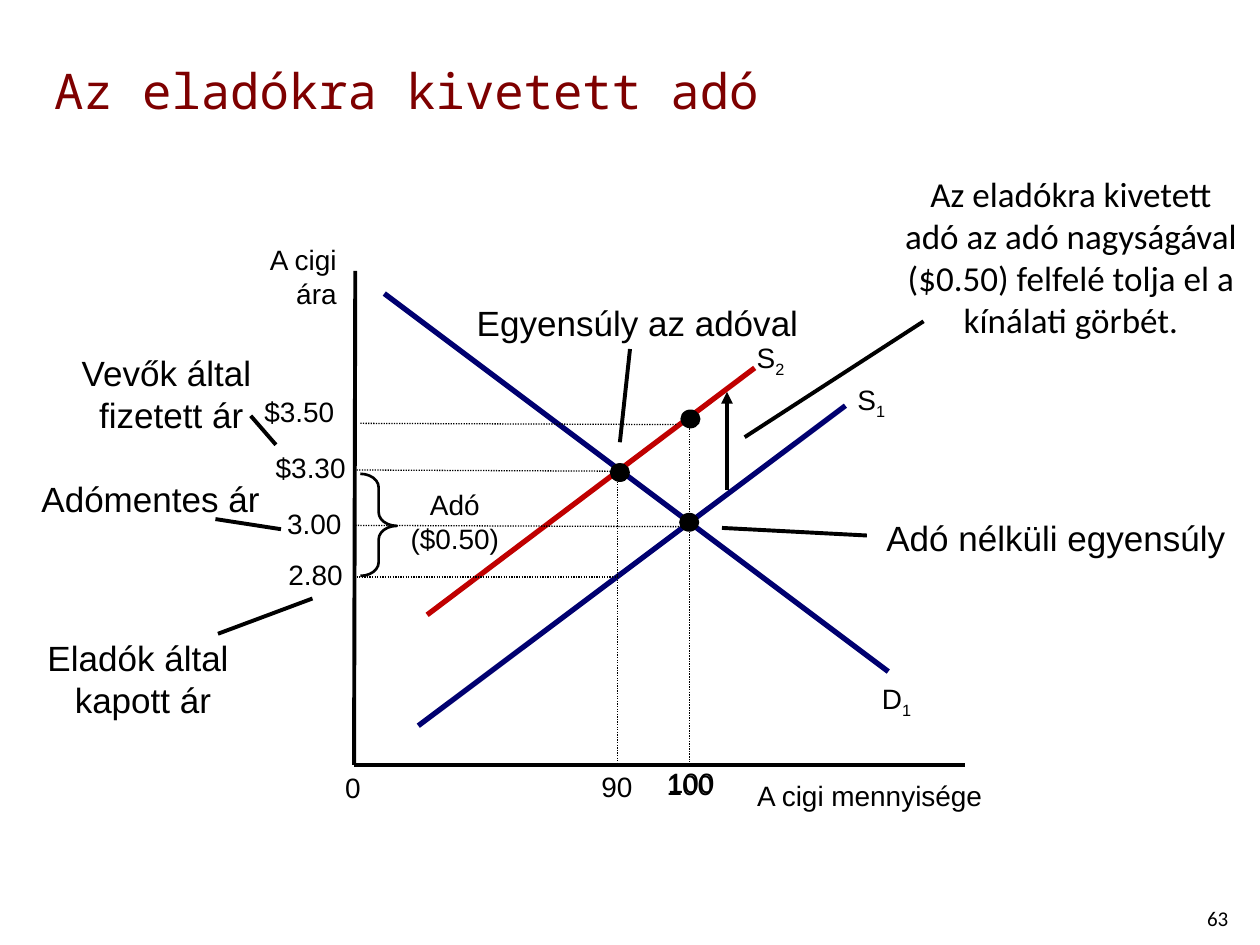
from dataclasses import dataclass

from lxml import etree
from pptx import Presentation
from pptx.dml.color import RGBColor
from pptx.enum import dml, shapes, text
from pptx.oxml.ns import qn
from pptx.util import Inches, Pt

LEFT, MID, RIGHT = text.PP_ALIGN.LEFT, text.PP_ALIGN.CENTER, text.PP_ALIGN.RIGHT


@dataclass(frozen=True)
class Theme:
    ink: str = "000000"
    title: str = "7E0000"
    curve: str = "000070"
    taxed: str = "C00000"
    sans: str = "Arial"
    body: str = "Calibri"
    mono: str = "Noto Sans Mono"
    head: int = 28
    note: int = 20
    label: int = 16
    page: int = 12
    thick: float = 3
    rule: float = 2.25
    brace: float = 1.5
    thin: float = 0.75


T = Theme()


@dataclass(frozen=True)
class Label:
    lines: str
    left: float
    top: float
    width: float
    height: float = 0.37
    align: text.PP_ALIGN = MID
    size: int = T.label
    font: str = T.sans
    wrap: bool = False
    sub: str = ""


@dataclass(frozen=True)
class Line:
    x1: float
    y1: float
    x2: float
    y2: float
    width: float = T.rule
    color: str = T.ink
    dots: bool = False
    arrow: bool = False


def style(run, size: int, font: str, color: str = T.ink) -> None:
    look = {"size": Pt(size), "name": font, "bold": False}
    for key, value in look.items():
        setattr(run.font, key, value)
    run.font.color.rgb = RGBColor.from_string(color)


def write(slide, item: Label) -> None:
    box = slide.shapes.add_textbox(
        *map(Inches, (item.left, item.top, item.width, item.height)))
    frame = box.text_frame
    frame.word_wrap = item.wrap
    for i, line in enumerate(item.lines.split("\n")):
        para = frame.add_paragraph() if i else frame.paragraphs[0]
        para.alignment = item.align
        run = para.add_run()
        run.text = line
        style(run, item.size, item.font)
    if item.sub:
        run = para.add_run()
        run.text = item.sub
        style(run, item.size, item.font)
        run.font._element.set("baseline", "-25000")


def draw(slide, item: Line) -> None:
    link = slide.shapes.add_connector(
        shapes.MSO_CONNECTOR.STRAIGHT,
        *map(Inches, (item.x1, item.y1, item.x2, item.y2)))
    link.line.width = Pt(item.width)
    link.line.color.rgb = RGBColor.from_string(item.color)
    if item.dots:
        link.line.dash_style = dml.MSO_LINE.ROUND_DOT
    props = link._element.spPr
    if item.arrow:
        etree.SubElement(props.find(qn("a:ln")), qn("a:tailEnd"), type="triangle")
    etree.SubElement(props, qn("a:effectLst"))


def dot(slide, x: float, y: float, width: float = 0.16, height: float = 0.15) -> None:
    mark = slide.shapes.add_shape(
        shapes.MSO_SHAPE.OVAL,
        *map(Inches, (x - width / 2, y - height / 2, width, height)))
    mark.shadow.inherit = False
    mark.fill.solid()
    mark.fill.fore_color.rgb = RGBColor.from_string(T.ink)
    mark.line.fill.background()


def brace(slide) -> None:
    span = slide.shapes.add_shape(
        shapes.MSO_SHAPE.LEFT_BRACE, *map(Inches, (2.86, 3.76, 0.29, 0.81)))
    span.rotation = 180
    span.adjustments[0], span.adjustments[1] = 0.37, 0.49
    span.shadow.inherit = False
    span.fill.background()
    span.line.width = Pt(T.brace)
    span.line.color.rgb = RGBColor.from_string(T.ink)


def guide(x1: float, y1: float, x2: float, y2: float) -> Line:
    return Line(x1, y1, x2, y2, T.thin, dots=True)


def note(lines: str, left: float, top: float, width: float,
         height: float = 0.44, font: str = T.sans) -> Label:
    return Label(lines, left, top, width, height, size=T.note, font=font, wrap=True)


LINES = [
    # Axes
    Line(2.82, 2.15, 2.81, 6.07),
    Line(2.81, 6.07, 7.66, 6.07),
    # Demand, supply, supply with tax
    Line(3.05, 2.33, 7.05, 5.33, T.thick, T.curve),
    Line(3.32, 5.76, 6.71, 3.22, T.thick, T.curve),
    Line(3.39, 4.88, 5.99, 2.92, T.thick, T.taxed),
    # Quantity guides
    guide(4.9, 3.74, 4.9, 6.06),
    guide(5.47, 4.18, 5.47, 6.05),
    guide(5.47, 3.38, 5.47, 6.03),
    # Price guides
    guide(2.86, 3.36, 5.37, 3.37),
    guide(2.81, 3.73, 4.91, 3.74),
    guide(2.82, 4.17, 5.45, 4.18),
    guide(2.83, 4.58, 4.9, 4.58),
    # Leaders from notes
    Line(1.71, 4.12, 2.23, 4.2),
    Line(1.73, 5.03, 2.48, 4.75),
    Line(5.91, 3.47, 7.33, 2.55),
    Line(1.99, 3.3, 2.19, 3.53),
    Line(5.73, 4.19, 6.88, 4.25),
    Line(4.92, 3.51, 5, 2.77),
    # Shift of supply
    Line(5.77, 3.89, 5.77, 3.11, arrow=True),
]

DOTS = [(5.47, 4.145), (4.92, 3.75), (5.48, 3.325)]

LABELS = [
    # Axis names and origin
    Label("A cigi\nára", 1.23, 1.88, 1.54, 0.64, RIGHT, wrap=True),
    Label("A cigi mennyisége", 5.91, 6.13, 3.29, align=LEFT, wrap=True),
    Label("0", 2.64, 6.07, 0.33, align=LEFT),
    # Curve names
    Label("D", 6.89, 5.36, 0.45, sub="1"),
    Label("S", 6.7, 2.99, 0.43, sub="1"),
    Label("S", 5.9, 2.65, 0.43, sub="2"),
    # Quantities
    Label("90", 4.67, 6.06, 0.45),
    Label("100", 5.19, 6.04, 0.57),
    Label("100", 5.2, 6.03, 0.57, 0.53),
    # Prices
    Label("$3.50", 2, 3.08, 0.91, 0.51, LEFT),
    Label("$3.30", 2.09, 3.53, 0.76, align=LEFT),
    Label("3.00", 2.18, 3.97, 0.64, align=LEFT),
    Label("2.80", 2.19, 4.38, 0.64, align=LEFT),
    Label("Adó\n($0.50)", 3.09, 3.82, 1.04, 0.91, wrap=True),
    # Notes
    note("Vevők által \nfizetett ár", 0.54, 2.74, 1.64, 0.77),
    note("Adómentes ár", 0.22, 3.74, 1.95),
    note("Eladók által \nkapott ár", 0.27, 5, 1.73, 0.77),
    note("Az eladókra kivetett adó az adó nagyságával ($0.50) felfelé "
         "tolja el a kínálati görbét.", 7.08, 1.32, 2.84, 1.78, T.body),
    note("Adó nélküli egyensúly", 6.92, 4.05, 2.92),
    note("Egyensúly az adóval", 3.67, 2.34, 2.78),
    # Page number
    Label("63", 9.33, 7.14, 0.67, 0.4, size=T.page, font=T.body, wrap=True),
]


def main() -> None:
    deck = Presentation()
    deck.slide_width, deck.slide_height = Inches(10), Inches(7.5)
    slide = deck.slides.add_slide(deck.slide_layouts[5])

    # Title
    title = slide.shapes.title
    place = {"left": 0.33, "top": 0.42, "width": 9.67, "height": 0.58}
    for key, value in place.items():
        setattr(title, key, Inches(value))
    para = title.text_frame.paragraphs[0]
    para.alignment = LEFT
    run = para.add_run()
    run.text = "Az eladókra kivetett adó"
    style(run, T.head, T.mono, T.title)

    # Diagram
    for line in LINES:
        draw(slide, line)
    for x, y in DOTS:
        dot(slide, x, y)
    brace(slide)
    for label in LABELS:
        write(slide, label)

    deck.save("out.pptx")


if __name__ == "__main__":
    main()
